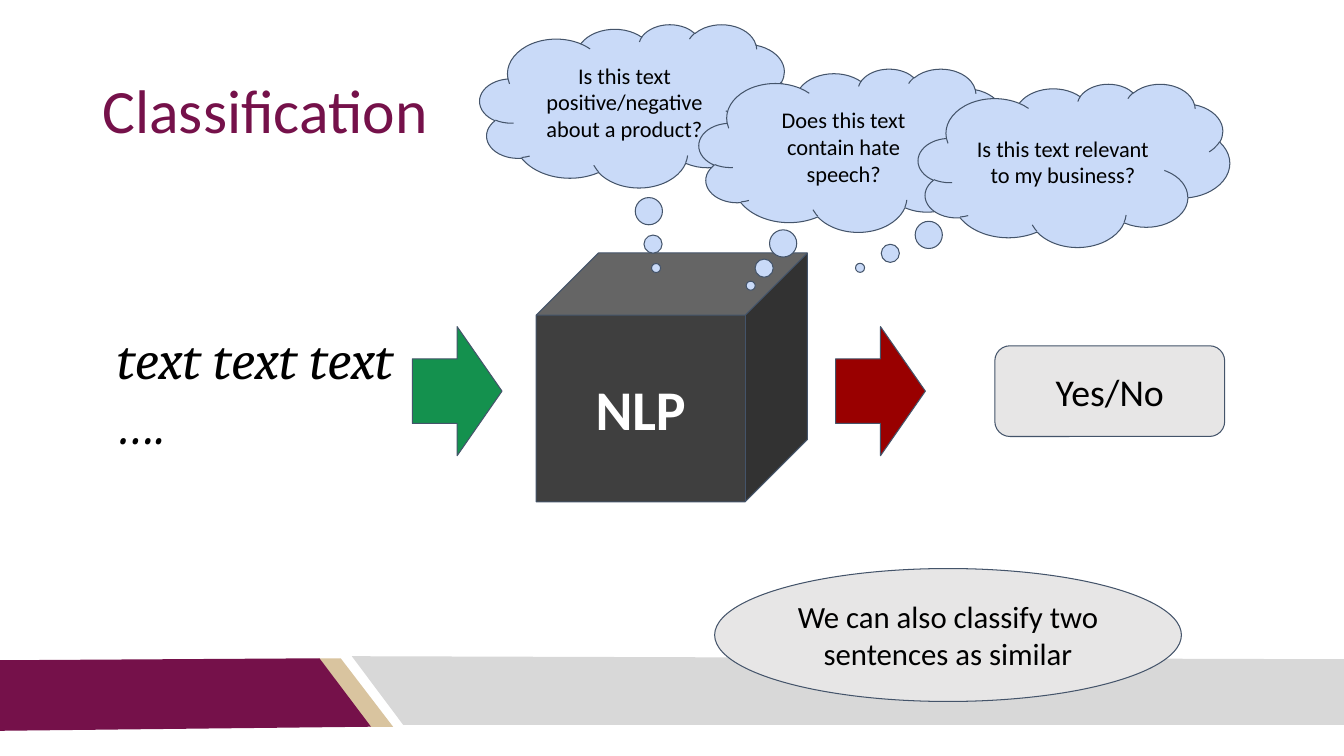
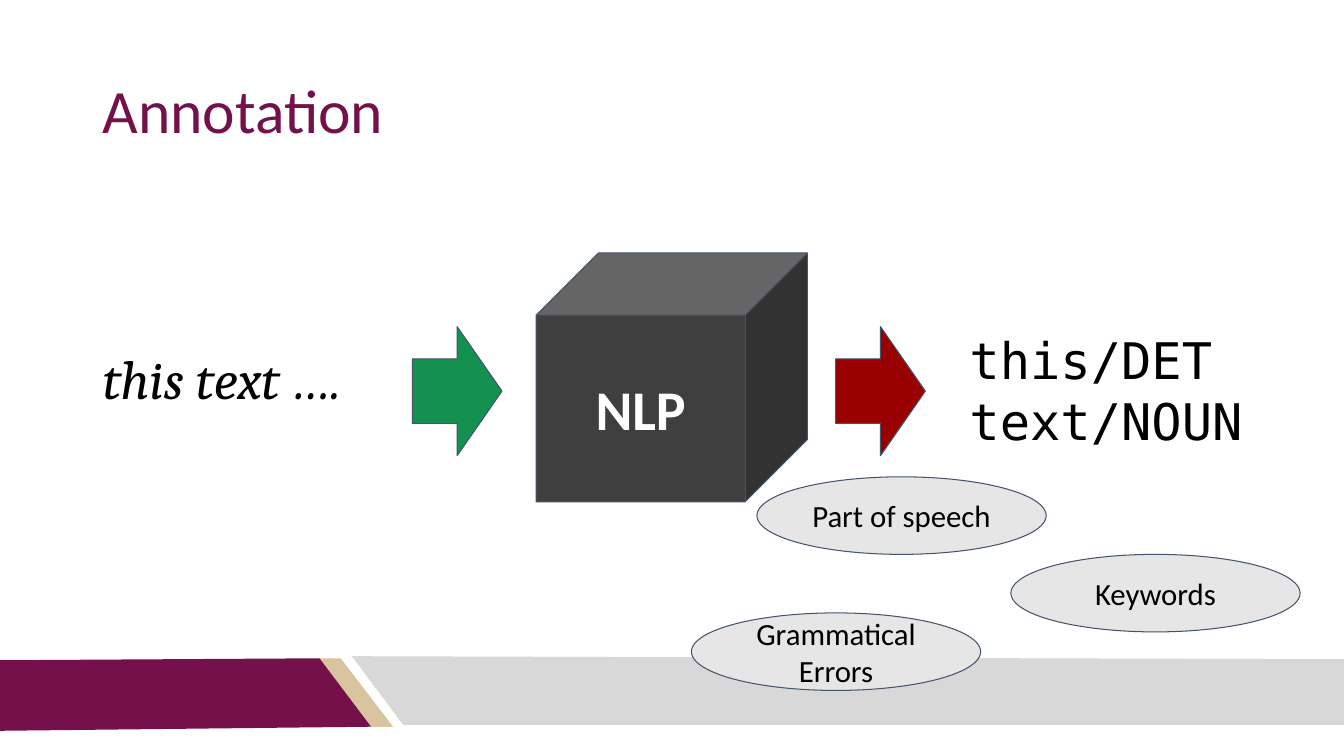
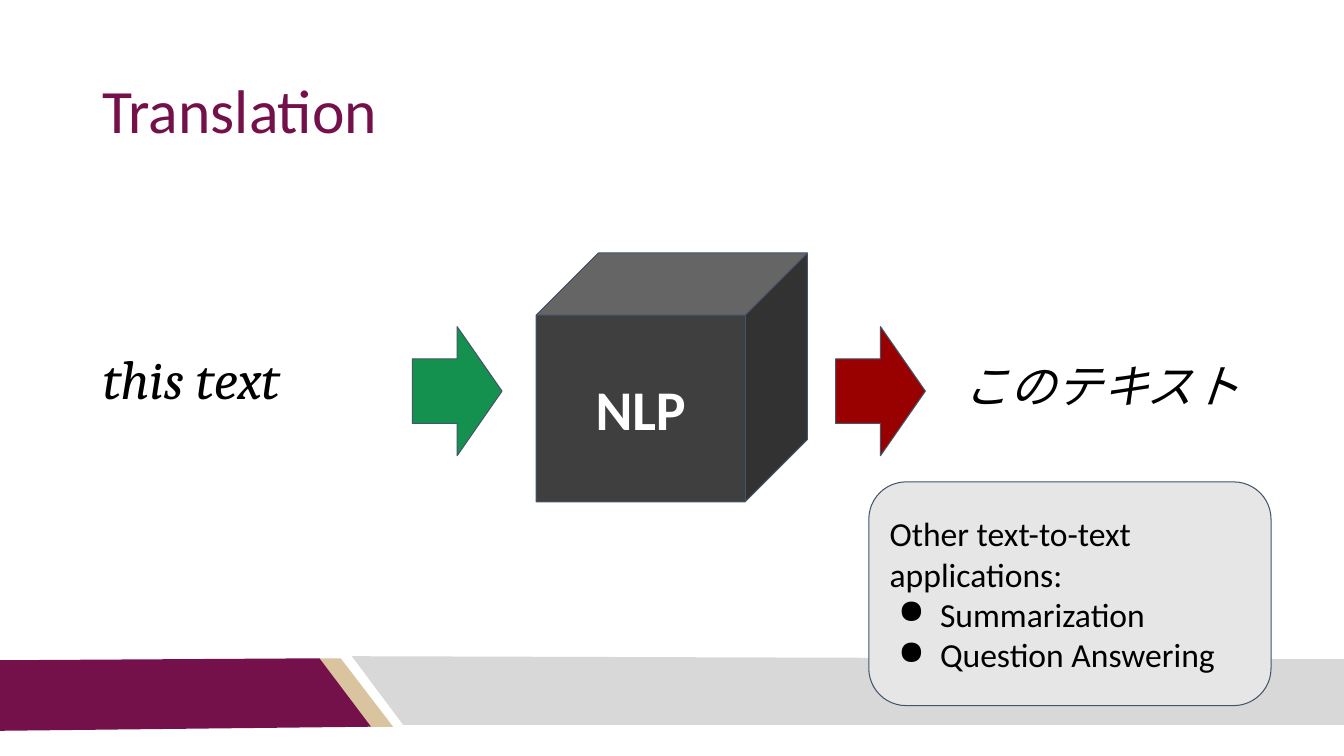
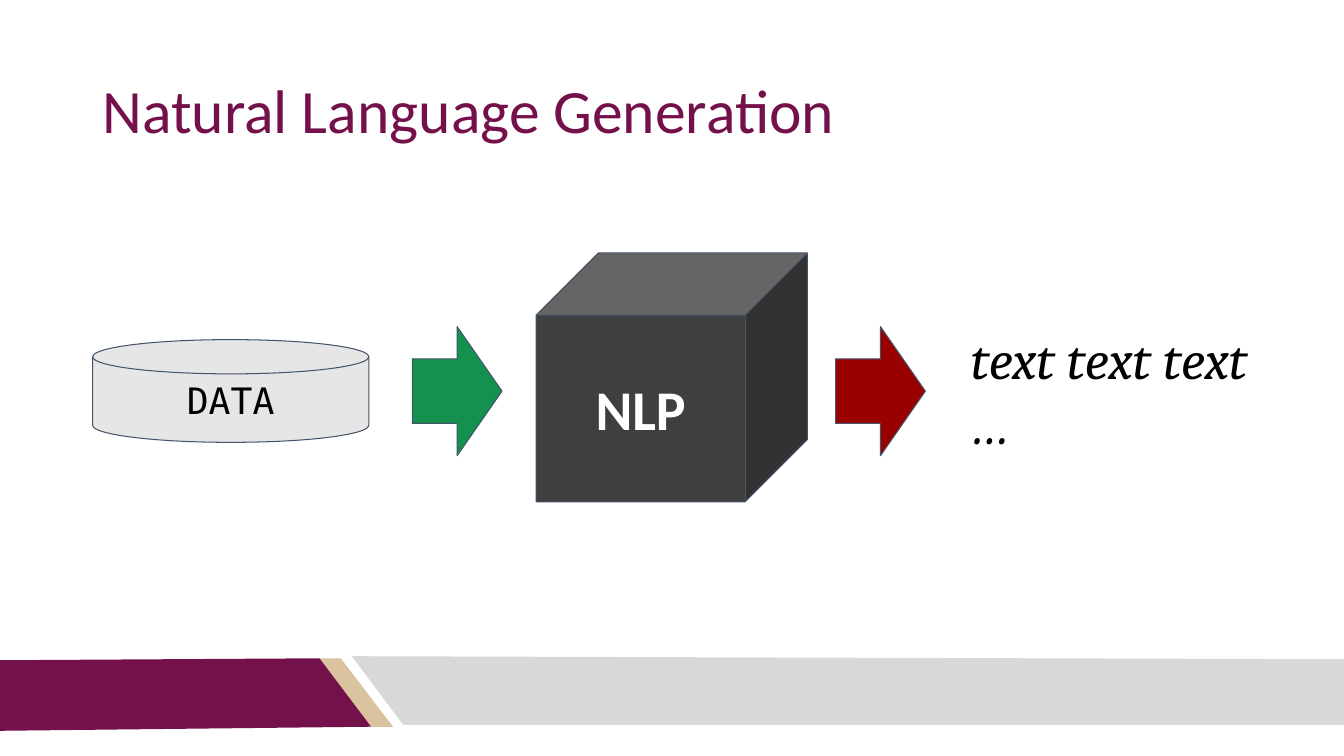
"""Build four slides on what an NLP system takes in and gives out."""
from dataclasses import dataclass

from lxml import etree
from pptx import Presentation
from pptx.dml.color import RGBColor
from pptx.enum import shapes, text
from pptx.oxml.ns import qn
from pptx.util import Pt

KIND = shapes.MSO_SHAPE
ALIGN = text.PP_ALIGN


@dataclass(frozen=True)
class Theme:
    """Colours, fonts and type sizes of the deck."""
    plum: str = "75114A"
    sand: str = "D9C49F"
    silver: str = "D8D8D8"
    panel: str = "E7E6E6"
    cloud: str = "C9DAF8"
    cube: str = "3F3F3F"
    green: str = "14914E"
    red: str = "990000"
    outline: str = "44546A"
    ink: str = "000000"
    white: str = "FFFFFF"
    sans: str = "Calibri"
    serif: str = "Cambria"
    mono: str = "DejaVu Sans Mono"
    title_size: float = 44
    cube_size: float = 40
    sample_size: float = 39
    code_size: float = 36
    japanese_size: float = 33
    answer_size: float = 27
    data_size: float = 26
    list_size: float = 24
    note_size: float = 22
    cloud_size: float = 16
    inset: float = 7.2
    line_width: float = 0.75


THEME = Theme()


@dataclass(frozen=True)
class Box:
    """A rectangle in points."""
    left: float
    top: float
    width: float
    height: float

    def inner(self, x, y, width, height):
        """Return a box placed from this box's top left corner."""
        return Box(self.left + x, self.top + y, width, height)

    def lengths(self):
        """Return the four sides as lengths."""
        return [Pt(side) for side in (self.left, self.top, self.width, self.height)]


PIPELINE = Box(294.5, 180.7, 366.5, 177.8)
TITLE = Box(66.2, 28.8, 828, 104.4)
FOOTER = Box(0, 468.7, 960, 53.3)


def colour(value):
    """Turn a hex value into a colour."""
    return RGBColor.from_string(value)


def write(shape, lines, size, font=THEME.sans, ink=THEME.ink, align=ALIGN.CENTER,
          anchor=text.MSO_ANCHOR.MIDDLE, bold=False, italic=False, bullets_from=None):
    """Fill a shape with paragraphs of one style, bulleted from a given index."""
    frame = shape.text_frame
    frame.word_wrap = True
    frame.vertical_anchor = anchor
    frame.margin_left = frame.margin_right = Pt(THEME.inset)
    frame.margin_top = frame.margin_bottom = Pt(THEME.inset)
    for index, line in enumerate(lines):
        paragraph = frame.paragraphs[0] if index == 0 else frame.add_paragraph()
        paragraph.text = line
        paragraph.alignment = align
        if bullets_from is not None and index >= bullets_from:
            add_bullet(paragraph)
        paragraph.font.name = font
        paragraph.font.size = Pt(size)
        paragraph.font.bold = bold
        paragraph.font.italic = italic
        paragraph.font.color.rgb = colour(ink)
    return frame


def add_bullet(paragraph):
    """Give a paragraph a hanging round bullet."""
    properties = paragraph._p.get_or_add_pPr()
    properties.set("marL", str(Pt(36)))
    properties.set("indent", str(Pt(-30)))
    bullet_colour = etree.SubElement(properties, qn("a:buClr"))
    etree.SubElement(bullet_colour, qn("a:srgbClr"), val=THEME.ink)
    etree.SubElement(properties, qn("a:buChar"), char="●")


def add_figure(slide, kind, box, fill, adjustments=()):
    """Add an outlined preset shape."""
    shape = slide.shapes.add_shape(kind, *box.lengths())
    shape.shadow.inherit = False
    shape.fill.solid()
    shape.fill.fore_color.rgb = colour(fill)
    shape.line.color.rgb = colour(THEME.outline)
    shape.line.width = Pt(THEME.line_width)
    for index, value in enumerate(adjustments):
        shape.adjustments[index] = value
    return shape


def add_title(slide, box, wording):
    """Add the slide title."""
    frame = write(slide.shapes.add_textbox(*box.lengths()), [wording], THEME.title_size,
                  ink=THEME.plum, align=ALIGN.LEFT)
    frame.paragraphs[0].line_spacing = 0.9


def add_footer(slide, box):
    """Add the three slanted bands at the foot."""
    bands = (
        (THEME.sand, [(227.5, 1.5), (243.4, 1.5), (280.8, 50.4), (264.2, 50.4)]),
        (THEME.plum, [(0, 2.9), (228.2, 1.5), (265, 50.4), (0, 53.3)]),
        (THEME.silver, [(251.3, 0), (box.width, 2.2), (box.width, 49), (288, 49)]),
    )
    for fill, corners in bands:
        points = [(Pt(box.left + x), Pt(box.top + y)) for x, y in corners]
        builder = slide.shapes.build_freeform(*points[0], scale=1.0)
        builder.add_line_segments(points[1:], close=True)
        band = builder.convert_to_shape()
        band.shadow.inherit = False
        band.fill.solid()
        band.fill.fore_color.rgb = colour(fill)
        band.line.fill.background()


def add_pipeline(slide, box):
    """Add the NLP cube between its input and output arrows."""
    cube = add_figure(slide, KIND.CUBE, box.inner(88.5, 0, 193.7, box.height), THEME.cube, [0.25])
    write(cube, ["NLP"], THEME.cube_size, ink=THEME.white, bold=True)
    arrow_width = 64.1
    for x, fill in ((0, THEME.green), (box.width - arrow_width, THEME.red)):
        add_figure(slide, KIND.RIGHT_ARROW, box.inner(x, 52.6, arrow_width, 92.2), fill, [0.5, 0.5])


def add_sample(slide, box, wording, size=THEME.sample_size, font=THEME.serif, italic=True):
    """Add a sample of text entering or leaving the cube."""
    frame = write(slide.shapes.add_textbox(*box.lengths()), [wording], size, font,
                  align=ALIGN.LEFT, anchor=text.MSO_ANCHOR.TOP, italic=italic)
    frame.auto_size = text.MSO_AUTO_SIZE.SHAPE_TO_FIT_TEXT


def add_note(slide, kind, box, wording, size=THEME.note_size, font=THEME.sans):
    """Add a grey shape with centred wording."""
    write(add_figure(slide, kind, box, THEME.panel), [wording], size, font)


def add_clouds(slide, box):
    """Add the overlapping thought clouds, equally stepped across the box."""
    clouds = (
        ("Is this text positive/negative about a product?", 0, (0.066, 0.994)),
        ("Does this text contain hate speech?", 31.7, (-0.334, 0.83)),
        ("Is this text relevant to my business?", 42.5, (-0.687, 0.628)),
    )
    width, height = 222.5, 116.6
    step = (box.width - width) / (len(clouds) - 1)
    for index, (wording, y, tail) in enumerate(clouds):
        cloud = add_figure(slide, KIND.CLOUD_CALLOUT, box.inner(index * step, y, width, height),
                           THEME.cloud, tail)
        write(cloud, [wording], THEME.cloud_size)


def add_ovals(slide, box):
    """Add the scattered kinds of annotation."""
    for wording, x, y in (("Part of speech", 46.8, 0), ("Keywords", 228.2, 55.4),
                          ("Grammatical Errors", 0, 97.2)):
        add_note(slide, KIND.OVAL, box.inner(x, y, 206.6, 55.4), wording)


def add_applications(slide, box):
    """Add the list of other text-to-text applications."""
    panel = add_figure(slide, KIND.ROUNDED_RECTANGLE, box, THEME.panel)
    lines = ["Other text-to-text applications:", "Summarization", "Question Answering"]
    write(panel, lines, THEME.list_size, align=ALIGN.LEFT, bullets_from=1)


def classification(slide):
    """Place the pieces about classification."""
    add_note(slide, KIND.ROUNDED_RECTANGLE, Box(710.6, 247, 164.2, 64.8), "Yes/No",
             THEME.answer_size)
    add_sample(slide, Box(76.3, 224.6, 218.2, 109.4), "text text text ….")
    add_clouds(slide, Box(342.7, 17.3, 535.7, 159.1))
    add_note(slide, KIND.OVAL, Box(510.5, 406.1, 333.4, 95),
             "We can also classify two sentences as similar")


def annotation(slide):
    """Place the pieces about annotation."""
    add_sample(slide, Box(66.2, 239, 218.2, 61.9), "this text ….")
    add_sample(slide, Box(685.4, 228.2, 218.2, 101.5), "this/DET text/NOUN",
               THEME.code_size, THEME.mono, italic=False)
    add_ovals(slide, Box(493.9, 340.6, 434.8, 152.6))


def translation(slide):
    """Place the pieces about translation."""
    add_sample(slide, Box(66.2, 239, 218.2, 61.9), "this text")
    add_sample(slide, Box(681.1, 248.4, 218.2, 54.7), "このテキスト", THEME.japanese_size)
    add_applications(slide, Box(620.6, 344.2, 287.3, 159.8))


def generation(slide):
    """Place the pieces about generation."""
    add_sample(slide, Box(686.2, 224.6, 218.2, 109.4), "text text text …")
    add_note(slide, KIND.FLOWCHART_MAGNETIC_DISK, Box(66.2, 242.6, 197.3, 73.4), "DATA",
             THEME.data_size, THEME.mono)


def main():
    """Build and save the deck."""
    presentation = Presentation()
    presentation.slide_width, presentation.slide_height = Pt(960), Pt(540)
    for wording, add_content in (
        ("Classification", classification),
        ("Annotation", annotation),
        ("Translation", translation),
        ("Natural Language Generation", generation),
    ):
        slide = presentation.slides.add_slide(presentation.slide_layouts[6])
        add_footer(slide, FOOTER)
        add_title(slide, TITLE, wording)
        add_pipeline(slide, PIPELINE)
        add_content(slide)
    presentation.save("out.pptx")


if __name__ == "__main__":
    main()
